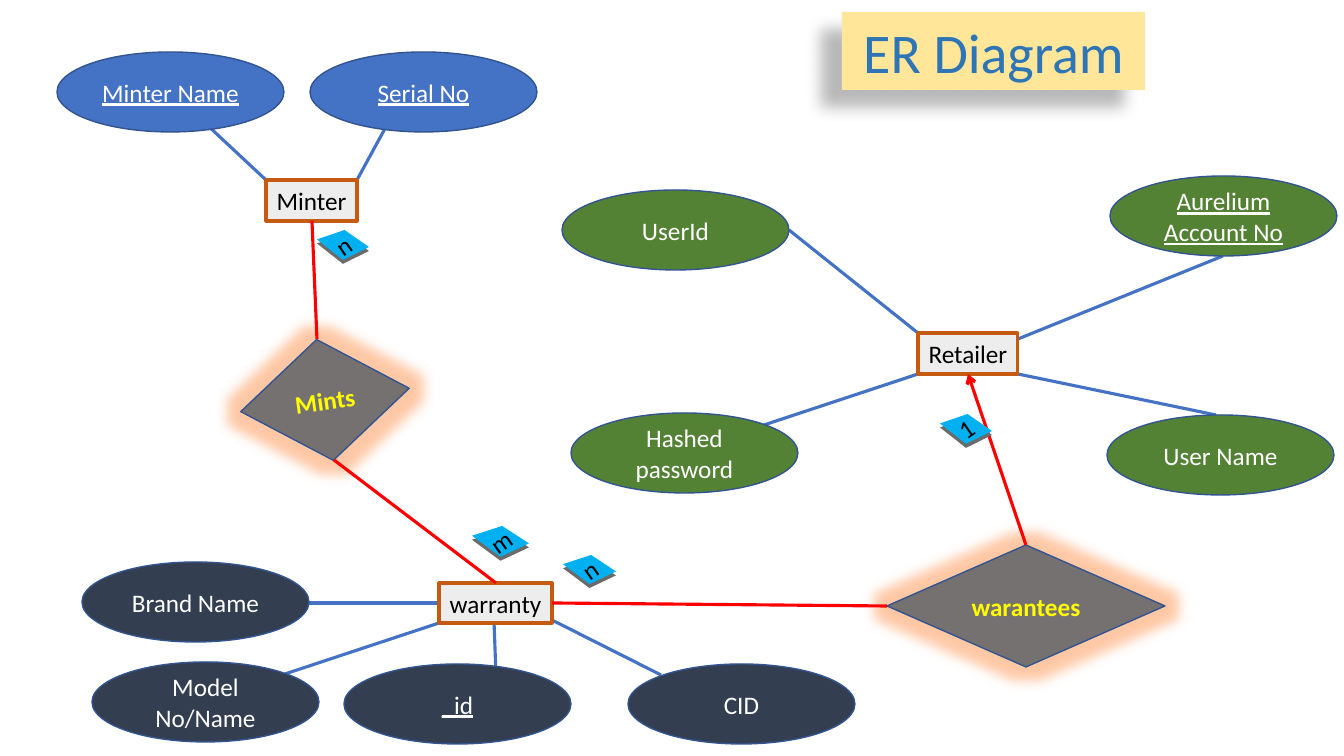
"""Build the ER diagram slide for minters, warranties and retailers."""
from dataclasses import dataclass

from lxml.etree import SubElement
from pptx import Presentation
from pptx.dml.color import RGBColor
from pptx.enum.shapes import MSO_CONNECTOR as Connector, MSO_SHAPE as Preset
from pptx.enum.text import MSO_ANCHOR as Anchor, MSO_AUTO_SIZE as AutoSize, PP_ALIGN as Align
from pptx.oxml.ns import qn
from pptx.util import Pt

SCALE = 914400 / 100.8


@dataclass(frozen=True)
class Theme:
    font: str = "Calibri"
    body: int = 18
    heading: int = 40
    line: float = 2.25
    thin: float = 1
    white: str = "FFFFFF"
    black: str = "000000"
    minter: str = "4472C4"
    warranty: str = "333F50"
    retailer: str = "548235"
    outline: str = "325491"
    entity: str = "EDEDED"
    entity_edge: str = "C55A11"
    relation: str = "767171"
    relation_text: str = "FFFF00"
    glow: str = "FF7720"
    link: str = "FF0000"
    tag: str = "00B0F0"
    tag_side: str = "6B6B6B"
    title: str = "2E75B6"
    title_fill: str = "FFE699"


THEME = Theme()
TITLE = ("ER Diagram", (842, 12, 303, 78))
ELLIPSE = (227, 80)
ATTRIBUTES = {
    THEME.minter: [("Minter Name", 57, 52, True), ("Serial No", 310, 52, True)],
    THEME.warranty: [("Brand Name", 82, 562, False), ("Model No/Name", 92, 662, False),
                     ("_id", 344, 664, True), ("CID", 628, 664, False)],
    THEME.retailer: [("UserId", 562, 190, False), ("Aurelium Account No", 1110, 176, True),
                     ("Hashed password", 571, 413, False), ("User Name", 1107, 415, False)],
}
ENTITIES = [("Minter", (266, 180, 91, 41)), ("warranty", (439, 583, 113, 40)),
            ("Retailer", (918, 333, 100, 41))]
RELATIONS = [("Mints", (240, 339, 170, 122), -7.9), ("warantees", (887, 545, 278, 122), 0)]
ATTRIBUTE_LINES = [
    (266, 180, 205, 123), (357, 180, 393, 114),
    (439, 603, 309, 603), (439, 623, 285, 674), (494, 621, 496, 675), (661, 675, 552, 620),
    (918, 333, 789, 230), (918, 374, 764, 425), (1223, 256, 1018, 339), (1216, 415, 1018, 374),
]
RELATION_LINES = [(312, 221, 317, 339, False), (334, 460, 496, 583, False),
                  (887, 606, 552, 603, False), (1026, 545, 968, 374, True)]
TAGS = [("n", (317, 230, 52, 34)), ("m", (472, 526, 57, 35)),
        ("n", (563, 555, 53, 33)), ("1", (940, 414, 52, 34))]
TAG_CORNERS = [(0, 0.28), (0.53, 0), (1, 0.5), (0.5, 0.88)]
TAG_DEPTH = 4
TAG_TILT = -35


def emu(*pixels):
    return [round(value * SCALE) for value in pixels]


def rgb(code):
    return RGBColor.from_string(code)


def paint(shape, fill, edge=None, width=THEME.thin):
    shape.shadow.inherit = False
    shape.fill.solid()
    shape.fill.fore_color.rgb = rgb(fill)
    if edge:
        shape.line.color.rgb = rgb(edge)
        shape.line.width = Pt(width)
    else:
        shape.line.fill.background()


def write(shape, text, color, size=THEME.body, bold=False, underline=False, wrap=True):
    frame = shape.text_frame
    frame.auto_size = AutoSize.NONE
    frame.word_wrap = wrap
    frame.vertical_anchor = Anchor.MIDDLE
    para = frame.paragraphs[0]
    para.alignment = Align.CENTER
    span = para.add_run()
    span.text = text
    font = span.font
    font.name, font.size, font.bold, font.underline = THEME.font, Pt(size), bold, underline
    font.color.rgb = rgb(color)


def add_effect(shape, kind, color, alpha, **settings):
    effects = shape._element.spPr.find(qn("a:effectLst"))
    effect = SubElement(effects, qn(f"a:{kind}"), {key: str(value) for key, value in settings.items()})
    tint = SubElement(effect, qn("a:srgbClr"), val=color)
    SubElement(tint, qn("a:alpha"), val=str(alpha * 1000))


def add_line(page, ends, color, arrow=False):
    line = page.shapes.add_connector(Connector.STRAIGHT, *emu(*ends))
    line.line.color.rgb = rgb(color)
    line.line.width = Pt(THEME.line)
    if arrow:
        SubElement(line.line._get_or_add_ln(), qn("a:tailEnd"), type="arrow")
    SubElement(line._element.spPr, qn("a:effectLst"))


def add_tag(page, text, place):
    left, top, width, height = place
    corners = [(left + x * width, top + y * height) for x, y in TAG_CORNERS]
    for color, drop in ((THEME.tag_side, TAG_DEPTH), (THEME.tag, 0)):
        points = [emu(x, y + drop) for x, y in corners]
        builder = page.shapes.build_freeform(*points[0])
        builder.add_line_segments(points[1:], close=True)
        paint(builder.convert_to_shape(), color)
    label = page.shapes.add_textbox(*emu(left, top - 2, width, height))
    label.rotation = TAG_TILT
    write(label, text, THEME.black, wrap=False)


deck = Presentation()
deck.slide_width, deck.slide_height = emu(1344, 756)
page = deck.slides.add_slide(deck.slide_layouts[5])

text, place = TITLE
title = page.shapes.title
title.left, title.top, title.width, title.height = emu(*place)
write(title, text, THEME.title, THEME.heading)
paint(title, THEME.title_fill)
add_effect(title, "outerShdw", THEME.black, 28, blurRad=Pt(11.8), dist=Pt(19.7),
           dir=141 * 60000, algn="ctr", rotWithShape=0)

for ends in ATTRIBUTE_LINES:
    add_line(page, ends, THEME.minter)

for fill, attributes in ATTRIBUTES.items():
    for text, left, top, is_key in attributes:
        ellipse = page.shapes.add_shape(Preset.OVAL, *emu(left, top, *ELLIPSE))
        paint(ellipse, fill, THEME.outline)
        write(ellipse, text, THEME.white, underline=is_key)

for text, place in ENTITIES:
    entity = page.shapes.add_shape(Preset.RECTANGLE, *emu(*place))
    paint(entity, THEME.entity, THEME.entity_edge, THEME.line)
    write(entity, text, THEME.black, wrap=False)

for text, place, angle in RELATIONS:
    diamond = page.shapes.add_shape(Preset.DIAMOND, *emu(*place))
    diamond.rotation = angle
    paint(diamond, THEME.relation, THEME.outline)
    add_effect(diamond, "glow", THEME.glow, 40, rad=Pt(18))
    write(diamond, text, THEME.relation_text, bold=True)

for *ends, arrow in RELATION_LINES:
    add_line(page, ends, THEME.link, arrow)

for text, place in TAGS:
    add_tag(page, text, place)

deck.save("out.pptx")
